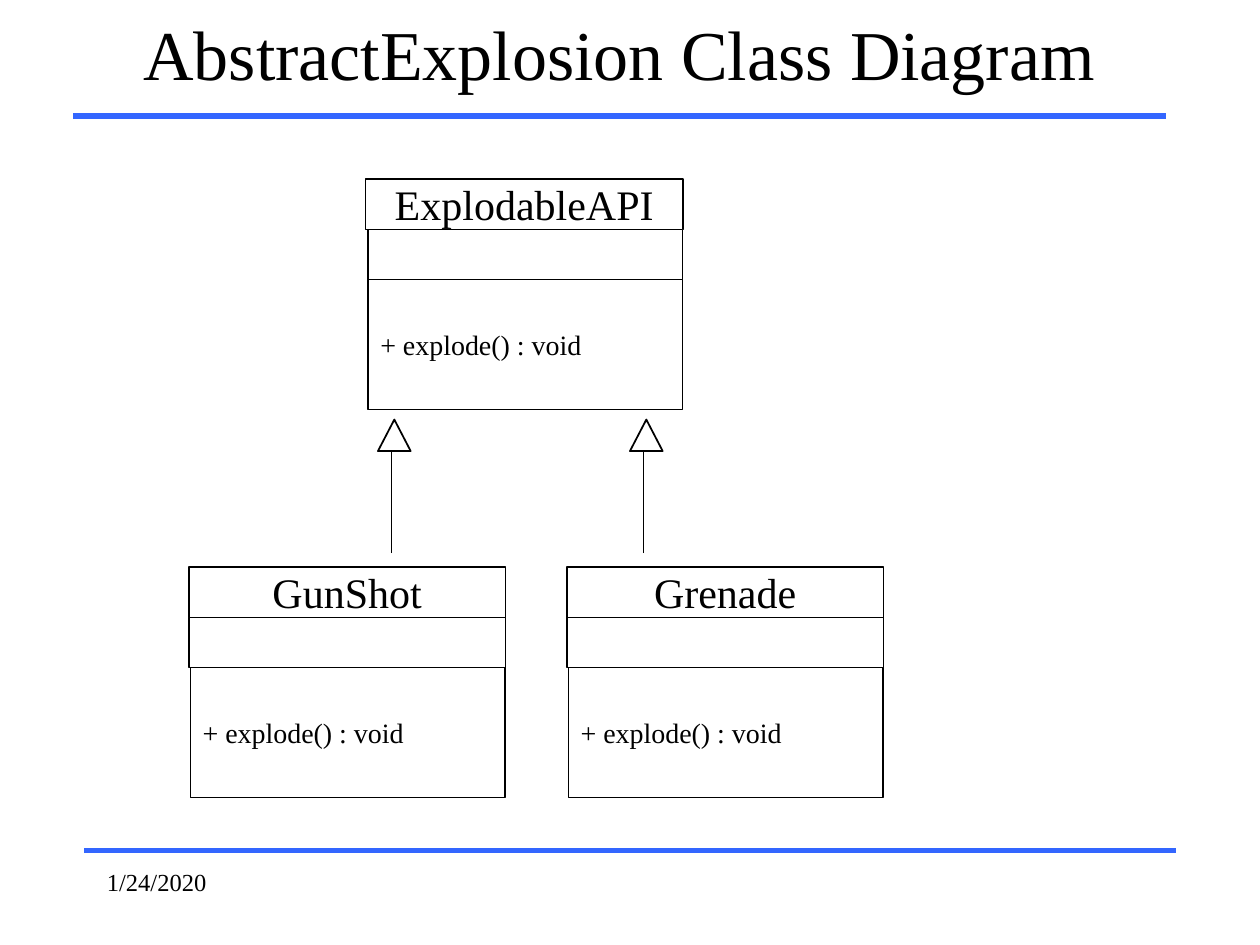
from pptx import Presentation
from pptx.dml.color import RGBColor
from pptx.enum.shapes import MSO_CONNECTOR, MSO_SHAPE
from pptx.enum.text import MSO_ANCHOR, PP_ALIGN
from pptx.oxml.ns import qn
from pptx.util import Inches, Pt
from lxml import etree

RECT, TRIANGLE = MSO_SHAPE.RECTANGLE, MSO_SHAPE.ISOSCELES_TRIANGLE
STRAIGHT = MSO_CONNECTOR.STRAIGHT
LEFT, CENTER = PP_ALIGN.LEFT, PP_ALIGN.CENTER
TOP, MIDDLE = MSO_ANCHOR.TOP, MSO_ANCHOR.MIDDLE
TITLE_ONLY = 5
rgb = RGBColor.from_string


def write(sp, text, size, align, anchor=MIDDLE):
    tf = sp.text_frame
    tf.word_wrap = True
    tf.vertical_anchor = anchor
    p = tf.paragraphs[0]
    p.alignment = align
    r = p.add_run()
    r.text = text
    for name, value in {"size": Pt(size), "name": "Times New Roman"}.items():
        setattr(r.font, name, value)
    r.font.color.rgb = rgb("000000")


def draw_line(shapes, x1, y1, x2, y2, color, width):
    line = shapes.add_connector(
        STRAIGHT, Inches(x1), Inches(y1), Inches(x2), Inches(y2))
    line.line.color.rgb = rgb(color)
    line.line.width = Pt(width)
    etree.SubElement(line._element.spPr, qn("a:effectLst"))


prs = Presentation()
prs.slide_width, prs.slide_height = Inches(10), Inches(7.5)
s = prs.slides.add_slide(prs.slide_layouts[TITLE_ONLY])

# Rules above and below the diagram
draw_line(s.shapes, 0.67, 6.75, 9.33, 6.75, "3366FF", 3)
draw_line(s.shapes, 0.58, 0.92, 9.25, 0.92, "3366FF", 3)

# Title and date
title = s.shapes.title
title.left, title.top = Inches(0.58), Inches(0)
title.width, title.height = Inches(8.67), Inches(0.83)
write(title, "AbstractExplosion Class Diagram", 40, CENTER)
date = s.shapes.add_textbox(Inches(0.75), Inches(6.83), Inches(2.08), Inches(0.5))
write(date, "1/24/2020", 14, LEFT, TOP)

# Classes: name, attributes and methods, stacked and flush right
classes = [
    ("ExplodableAPI", 2.9, 5.42, 1.42, 0.02, 0.02),
    ("GunShot", 1.5, 4.01, 4.5, 0, 0.01),
    ("Grenade", 4.5, 7.01, 4.5, 0, 0.01),
]
for class_name, x, right, y, attributes_dx, methods_dx in classes:
    group = s.shapes.add_group_shape()
    compartments = [
        (0, 0, 0.4, class_name, 24, CENTER),
        (attributes_dx, 0.4, 0.4, "", 16, LEFT),
        (methods_dx, 0.8, 1.03, "+ explode() : void", 16, LEFT),
    ]
    for dx, dy, h, text, size, align in compartments:
        sp = group.shapes.add_shape(
            RECT, Inches(x + dx), Inches(y + dy), Inches(right - x - dx), Inches(h))
        sp.shadow.inherit = False
        sp.fill.solid()
        sp.fill.fore_color.rgb = rgb("FFFFFF")
        sp.line.color.rgb = rgb("000000")
        sp.line.width = Pt(0.75)
        if text:
            write(sp, text, size, align)

# Inheritance arrows
for x in (3, 5):
    group = s.shapes.add_group_shape()
    draw_line(group.shapes, x + 0.11, 4.39, x + 0.11, 3.47, "000000", 0.5)
    head = group.shapes.add_shape(
        TRIANGLE, Inches(x), Inches(3.33), Inches(0.26), Inches(0.25))
    head.shadow.inherit = False
    head.fill.solid()
    head.fill.fore_color.rgb = rgb("FFFFFF")
    head.line.color.rgb = rgb("000000")
    head.line.width = Pt(1)

prs.save("out.pptx")
